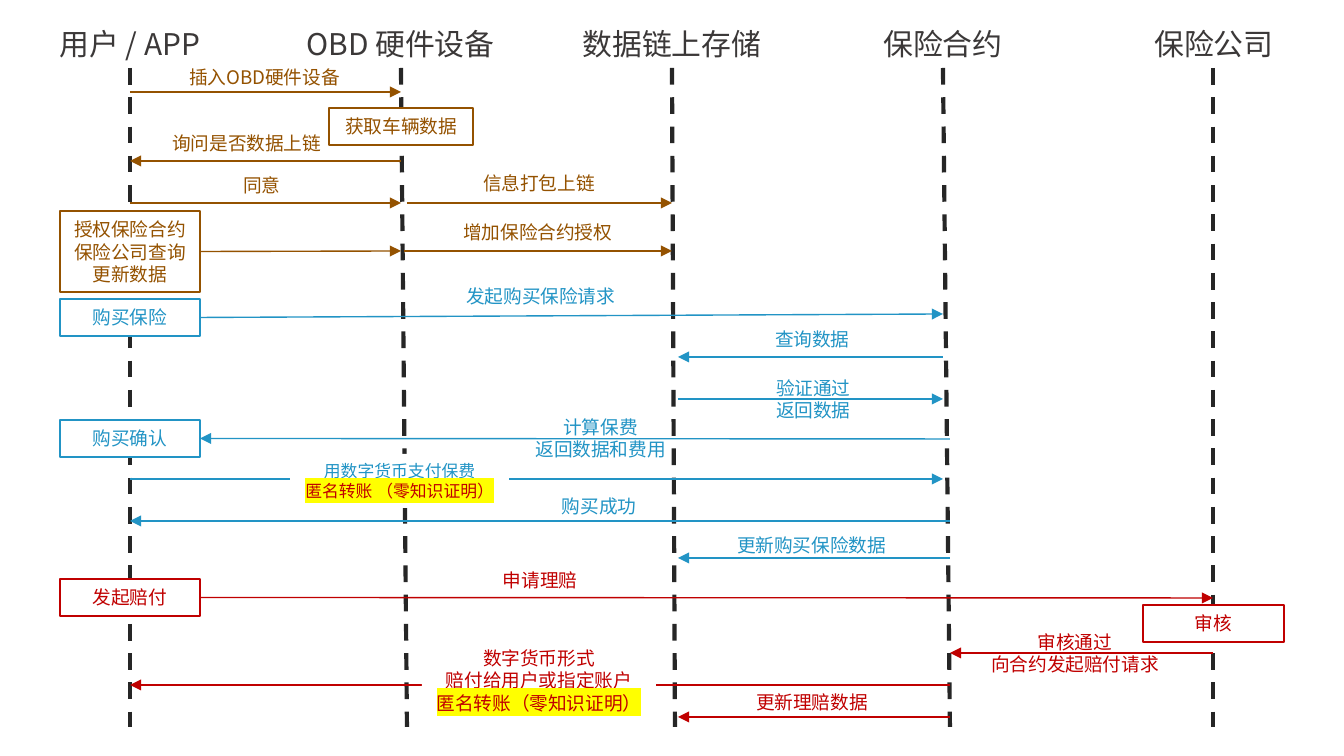
from lxml import etree
from pptx import Presentation
from pptx.dml.color import RGBColor
from pptx.enum.dml import MSO_LINE
from pptx.enum.shapes import MSO_CONNECTOR, MSO_SHAPE
from pptx.enum.text import MSO_ANCHOR, MSO_AUTO_SIZE, PP_ALIGN
from pptx.oxml.ns import qn
from pptx.util import Pt

SLIDE_WIDTH, SLIDE_HEIGHT = 1344, 756
EMU_PER_PX = 9144000 / SLIDE_WIDTH
STRAIGHT = MSO_CONNECTOR.STRAIGHT
RECTANGLE = MSO_SHAPE.RECTANGLE
LEFT, CENTER = PP_ALIGN.LEFT, PP_ALIGN.CENTER
RIGHT_SIDE = 3

FONT = "Noto Sans CJK SC"
BROWN, BLUE, RED = "945200", "2294C5", "C00000"
GREY, BLACK, WHITE, YELLOW = "3B3838", "262626", "FFFFFF", "FFFF00"

# Lifelines: name, header left, header width, line top x, line bottom x
LIFELINES = [
    ("用户 / APP", 42, 176, 130, 130),
    ("OBD 硬件设备", 289, 223, 401, 407),
    ("数据链上存储", 568, 208, 672, 675),
    ("保险合约", 869, 148, 943, 950),
    ("保险公司", 1140, 148, 1213, 1213),
]
LINE_TOP, LINE_BOTTOM = 68, 727

# Step boxes: key -> left, top, width, height, colour, lines
STEPS = {
    "vehicle": (329, 108, 144, 37, BROWN, ["获取车辆数据"]),
    "authorise": (60, 211, 140, 81, BROWN,
                  ["授权保险合约", "保险公司查询", "更新数据"]),
    "purchase": (60, 299, 140, 37, BLUE, ["购买保险"]),
    "confirm": (60, 420, 140, 37, BLUE, ["购买确认"]),
    "claim": (60, 579, 140, 37, RED, ["发起赔付"]),
    "review": (1143, 605, 141, 37, RED, ["审核"]),
}

# Messages: start, end, y, colour; an end is an x or the key of a step
MESSAGES = [
    (130, 401, 92, BROWN),
    (401, 130, 161, BROWN),
    (130, 401, 203, BROWN),
    (407, 672, 203, BROWN),
    ("authorise", 401, 251, BROWN),
    (404, 672, 251, BROWN),
    ("purchase", 943, 314, BLUE),
    (943, 678, 357, BLUE),
    (678, 943, 399, BLUE),
    (950, "confirm", 439, BLUE),
    (130, 943, 479, BLUE),
    (950, 130, 521, BLUE),
    (950, 678, 558, BLUE),
    ("claim", 1213, 598, RED),
    (1213, 950, 653, RED),
    (950, 130, 685, RED),
    (950, 678, 717, RED),
]

# Labels: left, top, width, colour, lines
LEFT_LABELS = [
    (159, 125, 177, BROWN, ["询问是否数据上链"]),
    (230, 167, 65, BROWN, ["同意"]),
    (470, 165, 140, BROWN, ["信息打包上链"]),
    (450, 214, 177, BROWN, ["增加保险合约授权"]),
    (453, 278, 177, BLUE, ["发起购买保险请求"]),
    (762, 321, 102, BLUE, ["查询数据"]),
    (763, 370, 102, BLUE, ["验证通过", "返回数据"]),
]
CENTER_LABELS = [
    (521, 409, 159, BLUE, ["计算保费", "返回数据和费用"]),
    (548, 488, 102, BLUE, ["购买成功"]),
    (723, 527, 177, BLUE, ["更新购买保险数据"]),
    (489, 562, 102, RED, ["申请理赔"]),
    (977, 624, 196, RED, ["审核通过", "向合约发起赔付请求"]),
    (742, 684, 140, RED, ["更新理赔数据"]),
]


def px(value):
    return round(value * EMU_PER_PX)


def rgb(value):
    return RGBColor.from_string(value)


def add_run(paragraph, text, size, color, highlight=None):
    run = paragraph.add_run()
    run.text = text
    run.font.size = Pt(size)
    run.font.color.rgb = rgb(color)
    run.font.name = FONT
    properties = run.font._element
    latin = properties.find(qn("a:latin"))
    latin.addnext(properties.makeelement(qn("a:ea"), {"typeface": FONT}))
    if highlight:
        mark = properties.makeelement(qn("a:highlight"), {})
        etree.SubElement(mark, qn("a:srgbClr"), val=highlight)
        latin.addprevious(mark)


def write_text(shape, lines, *, size=10, color=GREY, align=CENTER,
               anchor=MSO_ANCHOR.TOP, wrap=False, grow=True, marked=None):
    """Fill a shape with lines, then an optional red line marked in yellow."""
    frame = shape.text_frame
    frame.word_wrap = wrap
    frame.vertical_anchor = anchor
    if grow:
        frame.auto_size = MSO_AUTO_SIZE.SHAPE_TO_FIT_TEXT
    styled = [(line, color, None) for line in lines]
    if marked:
        styled.append((marked, RED, YELLOW))
    for index, (line, line_color, highlight) in enumerate(styled):
        paragraph = frame.add_paragraph() if index else frame.paragraphs[0]
        paragraph.alignment = align
        add_run(paragraph, line, size, line_color, highlight)


def add_label(slide, left, top, width, color, lines, **text_format):
    height = 14 + 22 * len(lines)
    box = slide.shapes.add_textbox(px(left), px(top), px(width), px(height))
    write_text(box, lines, color=color, **text_format)


def add_rectangle(slide, left, top, width, height, outline=None):
    shape = slide.shapes.add_shape(
        RECTANGLE, px(left), px(top), px(width), px(height))
    shape.shadow.inherit = False
    shape.fill.solid()
    shape.fill.fore_color.rgb = rgb(WHITE)
    if outline:
        shape.line.color.rgb = rgb(outline)
        shape.line.width = Pt(1)
    else:
        shape.line.fill.background()
    return shape


def add_step(slide, left, top, width, height, color, lines):
    shape = add_rectangle(slide, left, top, width, height, outline=color)
    write_text(shape, lines, color=color, anchor=MSO_ANCHOR.MIDDLE,
               wrap=True, grow=False)
    return shape


def add_line(slide, start, end, color, width):
    connector = slide.shapes.add_connector(
        STRAIGHT, px(start[0]), px(start[1]), px(end[0]), px(end[1]))
    connector.line.color.rgb = rgb(color)
    connector.line.width = Pt(width)
    etree.SubElement(connector._element.spPr, qn("a:effectLst"))
    return connector


def add_lifeline(slide, name, left, width, top_x, bottom_x):
    add_label(slide, left, 19, width, GREY, [name], size=16)
    line = add_line(slide, (top_x, LINE_TOP), (bottom_x, LINE_BOTTOM), BLACK, 2.25)
    line.line.dash_style = MSO_LINE.DASH


def add_message(slide, steps, start, end, y, color):
    """Draw an arrow whose ends are x positions or the right side of a step."""
    start_x, end_x = (0 if isinstance(point, str) else point
                      for point in (start, end))
    arrow = add_line(slide, (start_x, y), (end_x, y), color, 0.75)
    if start in steps:
        arrow.begin_connect(steps[start], RIGHT_SIDE)
    if end in steps:
        arrow.end_connect(steps[end], RIGHT_SIDE)
    etree.SubElement(arrow.line._get_or_add_ln(), qn("a:tailEnd"), type="triangle")


def main():
    presentation = Presentation()
    presentation.slide_width = px(SLIDE_WIDTH)
    presentation.slide_height = px(SLIDE_HEIGHT)
    slide = presentation.slides.add_slide(presentation.slide_layouts[6])

    for lifeline in LIFELINES:
        add_lifeline(slide, *lifeline)
    steps = {key: add_step(slide, *step) for key, step in STEPS.items()}
    for message in MESSAGES:
        add_message(slide, steps, *message)

    add_label(slide, 176, 59, 181, BROWN, ["插入OBD硬件设备"], align=LEFT, wrap=True)
    for label in LEFT_LABELS:
        add_label(slide, *label, align=LEFT)
    for label in CENTER_LABELS:
        add_label(slide, *label)

    payment = add_rectangle(slide, 290, 454, 219, 54)
    write_text(payment, ["用数字货币支付保费"], size=9, color=BLUE,
               marked="匿名转账 （零知识证明）")
    payout = add_rectangle(slide, 422, 640, 234, 82)
    write_text(payout, ["数字货币形式", "赔付给用户或指定账户"], color=RED,
               marked="匿名转账（零知识证明）")

    presentation.save("out.pptx")


if __name__ == "__main__":
    main()
